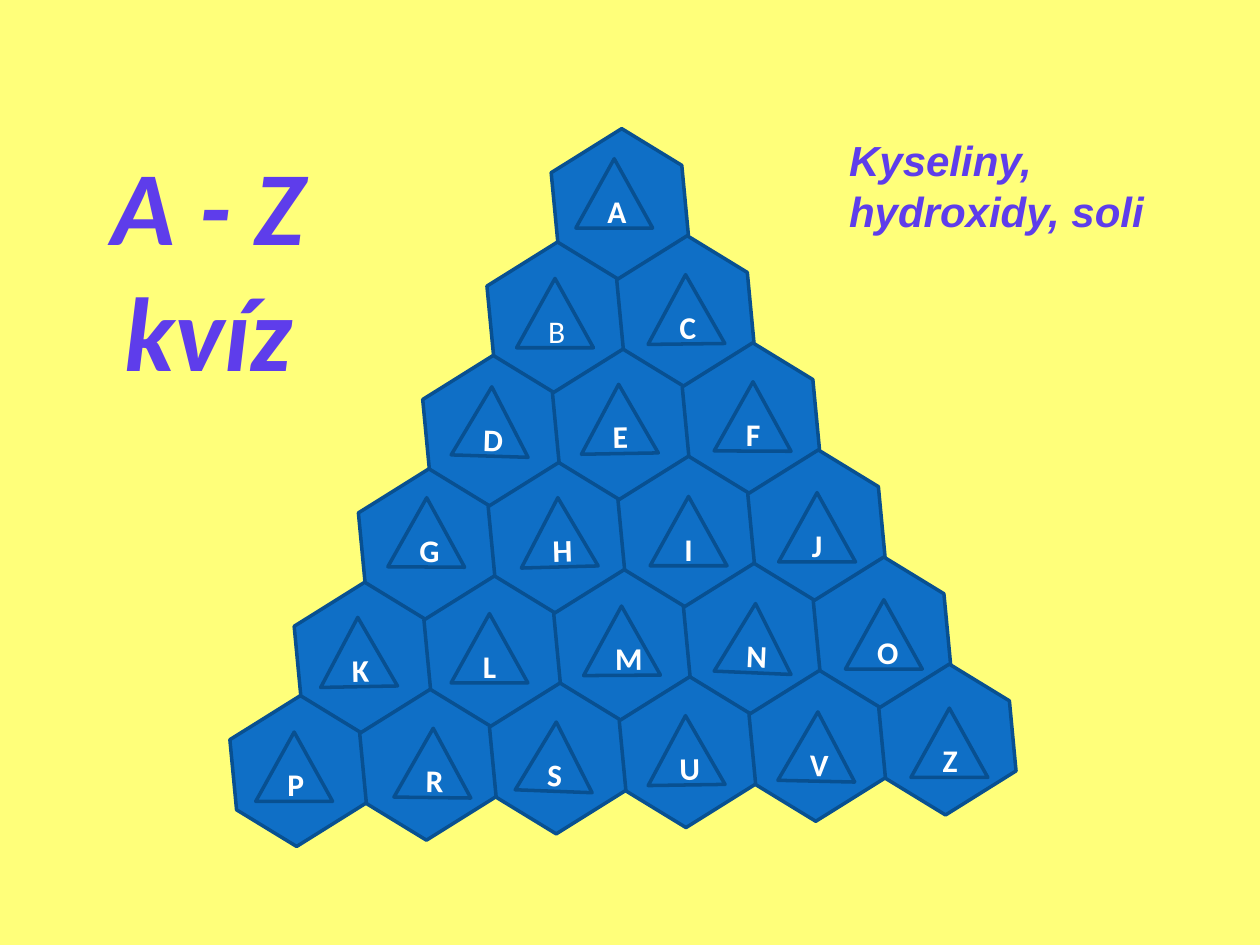
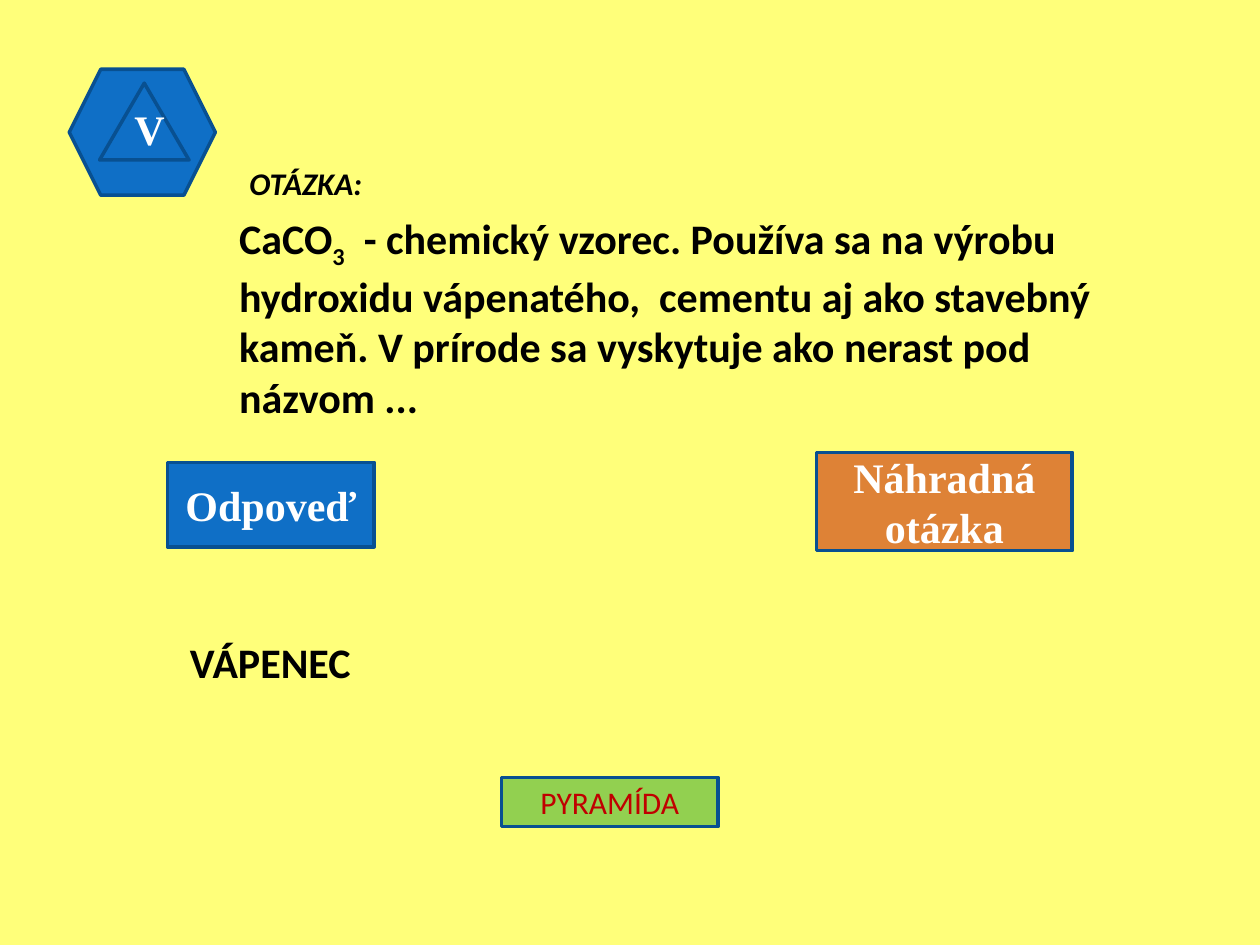
from pptx import Presentation
from pptx import util as u
from pptx.dml.color import RGBColor
from pptx.enum import shapes, text

YELLOW, BLUE, NAVY, VIOLET = "FFFF7A", "0F6FC6", "085091", "5E3DEB"
ORANGE, GREEN, RED = "DE8236", "92D050", "C00000"
WHITE, BLACK = "FFFFFF", "000000"
SERIF = "Times New Roman"
SHAPE = shapes.MSO_SHAPE
CENTER, LEFT = text.PP_ALIGN.CENTER, text.PP_ALIGN.LEFT
MIDDLE, BOTTOM = text.MSO_ANCHOR.MIDDLE, text.MSO_ANCHOR.BOTTOM

HEX_SIZE = (1.16, 1)
HEX_TILT = 328
APEX = (4.34, 1.12)
ROW_STEP = (-0.51, 0.9)
COLUMN_STEP = (1.03, -0.05)
TRIANGLE_SIZE = (0.61, 0.55)

PYRAMID = [
    [("A", 4.57, 1.26, 0)],
    [("B", 4.1, 2.21, 0), ("C", 5.14, 2.18, -0.7)],
    [("D", 3.59, 3.07, 1.8), ("E", 4.61, 3.05, -1), ("F", 5.67, 3.03, 0.3)],
    [("G", 3.08, 3.95, 0.4), ("H", 4.13, 3.95, -1.6), ("I", 5.16, 3.94, 0),
     ("J", 6.18, 3.91, 0)],
    [("K", 2.54, 4.9, -1.1), ("L", 3.58, 4.87, 0), ("M", 4.63, 4.81, -0.4),
     ("N", 5.68, 4.79, 2.5), ("O", 6.71, 4.76, 0)],
    [("P", 2.03, 5.81, 0), ("R", 3.13, 5.78, 0.7), ("S", 4.1, 5.73, 2.2),
     ("U", 5.14, 5.68, -0.9), ("V", 6.18, 5.65, 1.3), ("Z", 7.23, 5.62, 0)],
]


def rgb(value):
    return RGBColor.from_string(value)


def new_slide(prs):
    s = prs.slides.add_slide(prs.slide_layouts[6])
    s.background.fill.solid()
    s.background.fill.fore_color.rgb = rgb(YELLOW)
    return s


def style(p, size, color, font="Calibri", bold=True, italic=False, align=LEFT):
    p.alignment = align
    p.font.name = font
    p.font.size = u.Pt(size)
    p.font.bold = bold
    p.font.italic = italic
    p.font.color.rgb = rgb(color)


def add_figure(s, kind, box, fill=BLUE, tilt=0):
    sp = s.shapes.add_shape(kind, *map(u.Inches, box))
    sp.shadow.inherit = False
    sp.rotation = tilt
    sp.fill.solid()
    sp.fill.fore_color.rgb = rgb(fill)
    sp.line.color.rgb = rgb(NAVY)
    sp.line.width = u.Pt(2)
    return sp


def add_label(sp, label, size=18, color=WHITE, anchor=MIDDLE, **look):
    tf = sp.text_frame
    tf.vertical_anchor = anchor
    p = tf.paragraphs[0]
    p.add_run().text = label
    style(p, size, color, align=CENTER, **look)


def add_text(s, box, runs, size, color=BLACK, **look):
    tf = s.shapes.add_textbox(*map(u.Inches, box)).text_frame
    tf.word_wrap = True
    p = tf.paragraphs[0]
    for content, baseline in runs:
        r = p.add_run()
        r.text = content
        if baseline:
            r._r.get_or_add_rPr().set("baseline", str(baseline))
    style(p, size, color, **look)


def add_button(s, box, label, fill, **look):
    add_label(add_figure(s, SHAPE.FLOWCHART_PROCESS, box, fill), label, **look)


def add_pyramid(s):
    for row, cells in enumerate(PYRAMID):
        for column, (letter, left, top, tilt) in enumerate(cells):
            x, y = (start + row * down + column * across for start, down, across
                    in zip(APEX, ROW_STEP, COLUMN_STEP))
            add_figure(s, SHAPE.HEXAGON, (x, y, *HEX_SIZE), tilt=HEX_TILT)
            triangle = add_figure(s, SHAPE.ISOSCELES_TRIANGLE,
                                  (left, top, *TRIANGLE_SIZE), tilt=tilt)
            add_label(triangle, letter, bold=letter != "B")


def build_pyramid_slide(prs):
    s = new_slide(prs)
    add_pyramid(s)
    add_text(s, (0.59, 1.07, 2.13, 2.1), [("A - Z kvíz", 0)], 60, VIOLET,
             italic=True, align=CENTER)
    add_text(s, (6.64, 1.02, 2.81, 0.9), [("Kyseliny, hydroxidy, soli", 0)], 24,
             VIOLET, font="Arial", italic=True)


def build_question_slide(prs):
    s = new_slide(prs)
    add_figure(s, SHAPE.HEXAGON, (0.55, 0.55, *HEX_SIZE))
    triangle = add_figure(s, SHAPE.ISOSCELES_TRIANGLE, (0.79, 0.66, 0.71, 0.61))
    add_label(triangle, "V", 24, font=SERIF, anchor=BOTTOM)
    add_text(s, (1.88, 1.25, 5.55, 0.7), [("OTÁZKA:", 0)], 18, italic=True)
    question = [
        ("CaCO", 0),
        ("3", -25000),
        ("  - chemický vzorec. Používa sa na výrobu hydroxidu vápenatého,  "
         "cementu aj ako stavebný kameň. V prírode sa vyskytuje ako nerast "
         "pod názvom ...", 0),
    ]
    add_text(s, (1.8, 1.64, 7.34, 2.21), question, 24)
    add_button(s, (1.33, 3.67, 1.64, 0.67), "Odpoveď", BLUE, size=24, font=SERIF)
    add_button(s, (6.48, 3.59, 2.03, 0.78), "Náhradná otázka", ORANGE, size=24,
               font=SERIF)
    add_text(s, (1.41, 5, 1.64, 0.5), [("VÁPENEC", 0)], 24)
    add_button(s, (3.98, 6.17, 1.72, 0.39), "PYRAMÍDA", GREEN, color=RED, bold=False)


def main():
    prs = Presentation()
    prs.slide_width = u.Inches(10)
    prs.slide_height = u.Inches(7.5)
    build_pyramid_slide(prs)
    build_question_slide(prs)
    prs.save("out.pptx")


if __name__ == "__main__":
    main()
